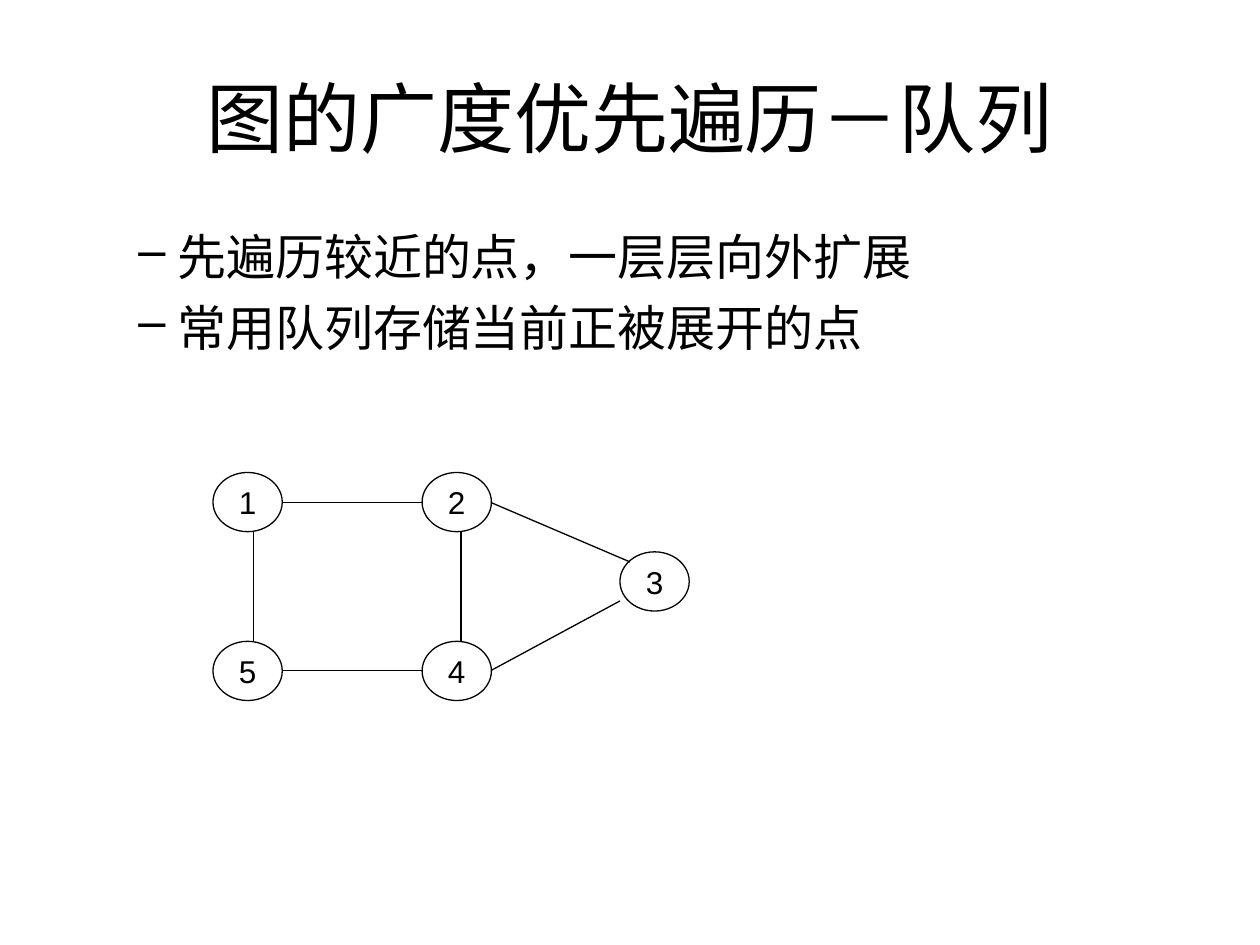
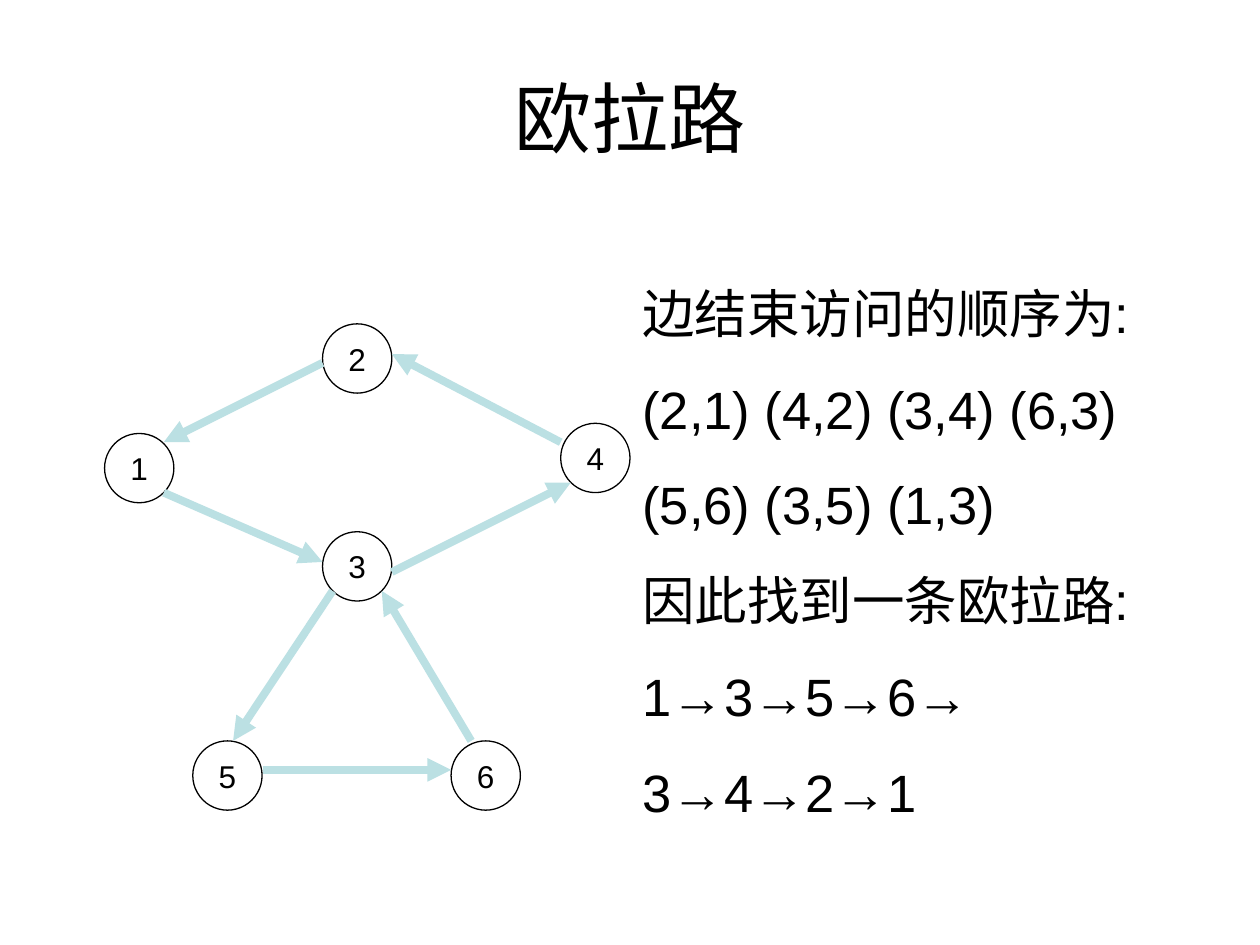
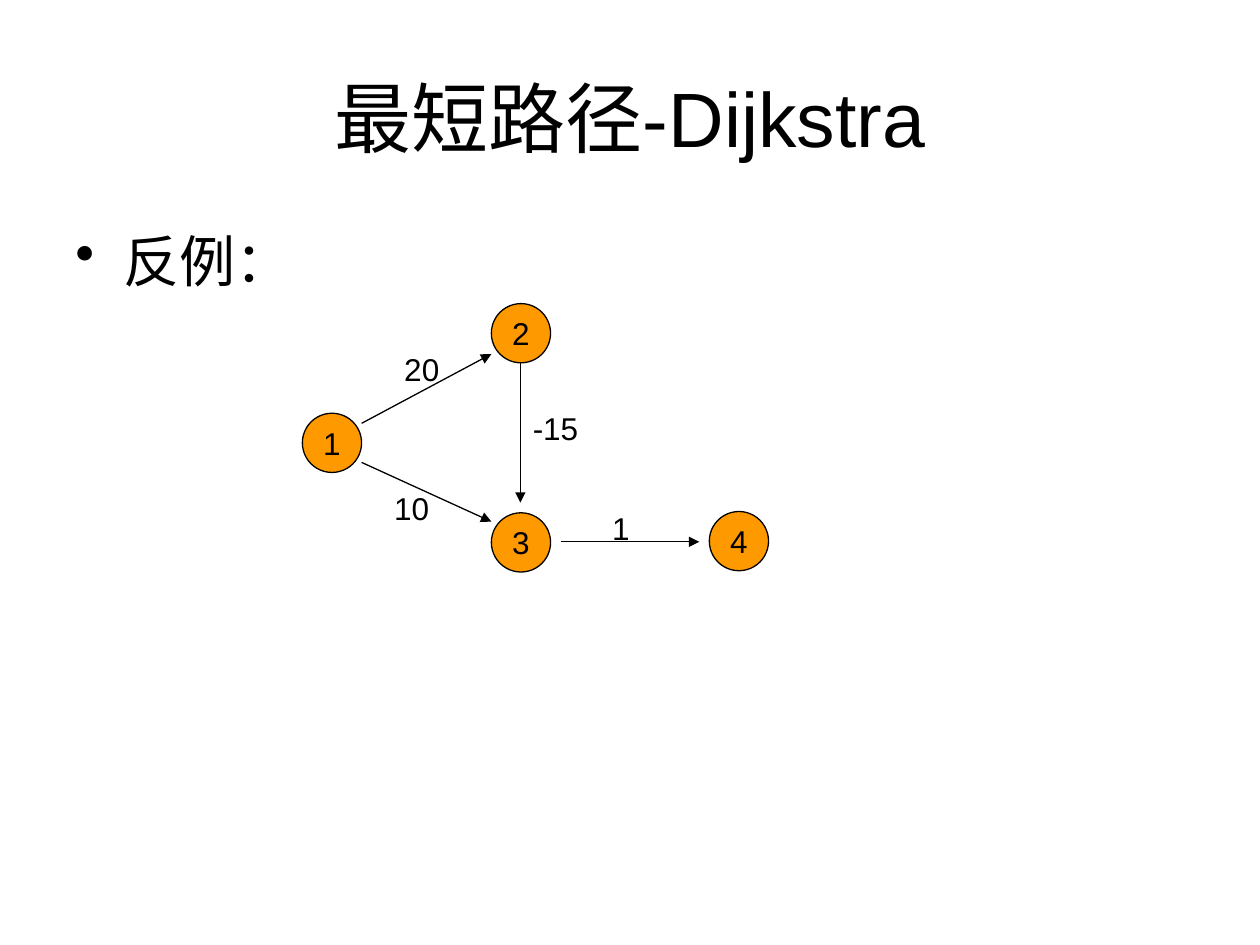
from lxml.etree import SubElement
from pptx import Presentation
from pptx.dml.color import RGBColor
from pptx.enum.shapes import MSO_CONNECTOR, MSO_SHAPE
from pptx.enum.text import MSO_ANCHOR, MSO_AUTO_SIZE, PP_ALIGN
from pptx.oxml.ns import qn
from pptx.util import Inches, Pt

BLACK = RGBColor(0, 0, 0)
WHITE = RGBColor(255, 255, 255)
TEAL = RGBColor(0xBB, 0xE0, 0xE3)
ORANGE = RGBColor(0xFF, 0x99, 0)
FONT = "Arial"
TITLE_BOX = (0.5, 0.3, 9, 1.25)
BODY_BOX = (0.5, 1.75, 9, 4.95)


def style(para, size, gap=0):
    para.font.name = FONT
    para.font.size = Pt(size)
    para.font.color.rgb = BLACK
    para.space_before = Pt(gap)


def write(slide, box, lines, size, gap=0):
    """Add a wrapped text box with one paragraph per line."""
    frame = slide.shapes.add_textbox(*map(Inches, box)).text_frame
    frame.word_wrap = True
    frame.text = "\n".join(lines)
    for para in frame.paragraphs:
        style(para, size, gap)
    return frame


def add_page(deck, title):
    slide = deck.slides.add_slide(deck.slide_layouts[6])
    frame = write(slide, TITLE_BOX, [title], 44)
    frame.vertical_anchor = MSO_ANCHOR.MIDDLE
    frame.paragraphs[0].alignment = PP_ALIGN.CENTER
    return slide


def add_list(slide, box, lines, size, gap, mark, left, hang, level=0):
    frame = write(slide, box, lines, size, gap)
    for para in frame.paragraphs:
        para.level = level
        props = para._p.get_or_add_pPr()
        props.set("marL", str(Inches(left)))
        props.set("indent", str(-Inches(hang)))
        bullet = SubElement(props, qn("a:buChar"), char=mark)
        props.find(qn("a:defRPr")).addprevious(bullet)


def add_node(slide, box, name, fill):
    node = slide.shapes.add_shape(MSO_SHAPE.OVAL, *map(Inches, box))
    node.shadow.inherit = False
    node.fill.solid()
    node.fill.fore_color.rgb = fill
    node.line.color.rgb = BLACK
    node.line.width = Pt(0.75)
    frame = node.text_frame
    frame.word_wrap = False
    frame.vertical_anchor = MSO_ANCHOR.MIDDLE
    frame.text = name
    para = frame.paragraphs[0]
    para.alignment = PP_ALIGN.CENTER
    style(para, 18)


def add_edge(slide, ends, color, width, arrow):
    edge = slide.shapes.add_connector(MSO_CONNECTOR.STRAIGHT, *map(Inches, ends))
    edge.line.color.rgb = color
    edge.line.width = Pt(width)
    if arrow:
        SubElement(edge.line._get_or_add_ln(), qn("a:tailEnd"), type="triangle")
    SubElement(edge._element.spPr, qn("a:effectLst"))


def add_graph(slide, origin, size, nodes, edges, fill=WHITE,
              color=BLACK, width=0.75, arrow=True, labels=()):
    """Draw nodes, edges and weights, all measured from the origin."""
    left, top = origin
    for name, (x, y) in nodes.items():
        add_node(slide, (left + x, top + y, *size), name, fill)
    for x1, y1, x2, y2 in edges:
        ends = (left + x1, top + y1, left + x2, top + y2)
        add_edge(slide, ends, color, width, arrow)
    for text, x, y, wide in labels:
        frame = write(slide, (left + x, top + y, wide, 0.4), [text], 18, 11.2)
        frame.auto_size = MSO_AUTO_SIZE.SHAPE_TO_FIT_TEXT


def breadth_page(deck):
    slide = add_page(deck, "图的广度优先遍历－队列")
    lines = ["先遍历较近的点，一层层向外扩展", "常用队列存储当前正被展开的点"]
    add_list(slide, BODY_BOX, lines, 28, 7, "–", 0.81, 0.31, level=1)
    nodes = {"1": (0, 0), "2": (1.66, 0), "3": (3.23, 0.63),
             "4": (1.66, 1.34), "5": (0, 1.34)}
    edges = [
        (0.55, 0.24, 1.66, 0.24),  # 1 - 2
        (0.32, 0.47, 0.32, 1.34),  # 1 - 5
        (1.97, 0.47, 1.97, 1.34),  # 2 - 4
        (0.55, 1.57, 1.66, 1.57),  # 5 - 4
        (2.21, 0.24, 3.31, 0.71),  # 2 - 3
        (2.21, 1.57, 3.23, 1.02),  # 4 - 3
    ]
    add_graph(slide, (1.69, 3.75), (0.55, 0.47), nodes, edges, arrow=False)


def euler_page(deck):
    slide = add_page(deck, "欧拉路")
    nodes = {"1": (0, 0.87), "2": (1.73, 0), "3": (1.73, 1.65),
             "4": (3.62, 0.79), "5": (0.7, 3.31), "6": (2.75, 3.31)}
    edges = [
        (1.73, 0.31, 0.47, 0.94),  # 2 to 1
        (3.62, 0.94, 2.28, 0.24),  # 4 to 2
        (2.28, 1.97, 3.7, 1.26),   # 3 to 4
        (0.47, 1.34, 1.73, 1.89),  # 1 to 3
        (1.81, 2.12, 1.02, 3.31),  # 3 to 5
        (1.26, 3.54, 2.75, 3.54),  # 5 to 6
        (2.91, 3.31, 2.2, 2.12),   # 6 to 3
    ]
    add_graph(slide, (0.83, 2.57), (0.55, 0.55), nodes, edges,
              color=TEAL, width=4.5)
    # Order of the edges and the path found
    lines = ["边结束访问的顺序为:", "(2,1) (4,2) (3,4) (6,3)", "(5,6) (3,5) (1,3)",
             "因此找到一条欧拉路:", "1→3→5→6→", "3→4→2→1"]
    frame = write(slide, (5, 2.18, 4.41, 4.4), lines, 30, 18.7)
    frame.auto_size = MSO_AUTO_SIZE.SHAPE_TO_FIT_TEXT


def shortest_page(deck):
    slide = add_page(deck, "最短路径-Dijkstra")
    add_list(slide, BODY_BOX, ["反例："], 32, 8, "•", 0.38, 0.38)
    nodes = {"1": (0, 0.87), "2": (1.5, 0), "3": (1.5, 1.66), "4": (3.23, 1.65)}
    edges = [
        (0.47, 1.26, 1.5, 1.73),   # 1 to 3
        (0.47, 0.95, 1.5, 0.4),    # 1 to 2
        (1.73, 0.47, 1.73, 1.58),  # 2 to 3
        (2.05, 1.89, 3.15, 1.89),  # 3 to 4
    ]
    labels = [("10", 0.63, 1.42, 0.55), ("20", 0.71, 0.32, 0.55),
              ("-15", 1.73, 0.79, 0.79), ("1", 2.36, 1.58, 0.31)]
    add_graph(slide, (2.4, 2.41), (0.47, 0.47), nodes, edges,
              fill=ORANGE, labels=labels)


def main():
    deck = Presentation()
    deck.slide_width, deck.slide_height = Inches(10), Inches(7.5)
    for build in (breadth_page, euler_page, shortest_page):
        build(deck)
    deck.save("out.pptx")


if __name__ == "__main__":
    main()
